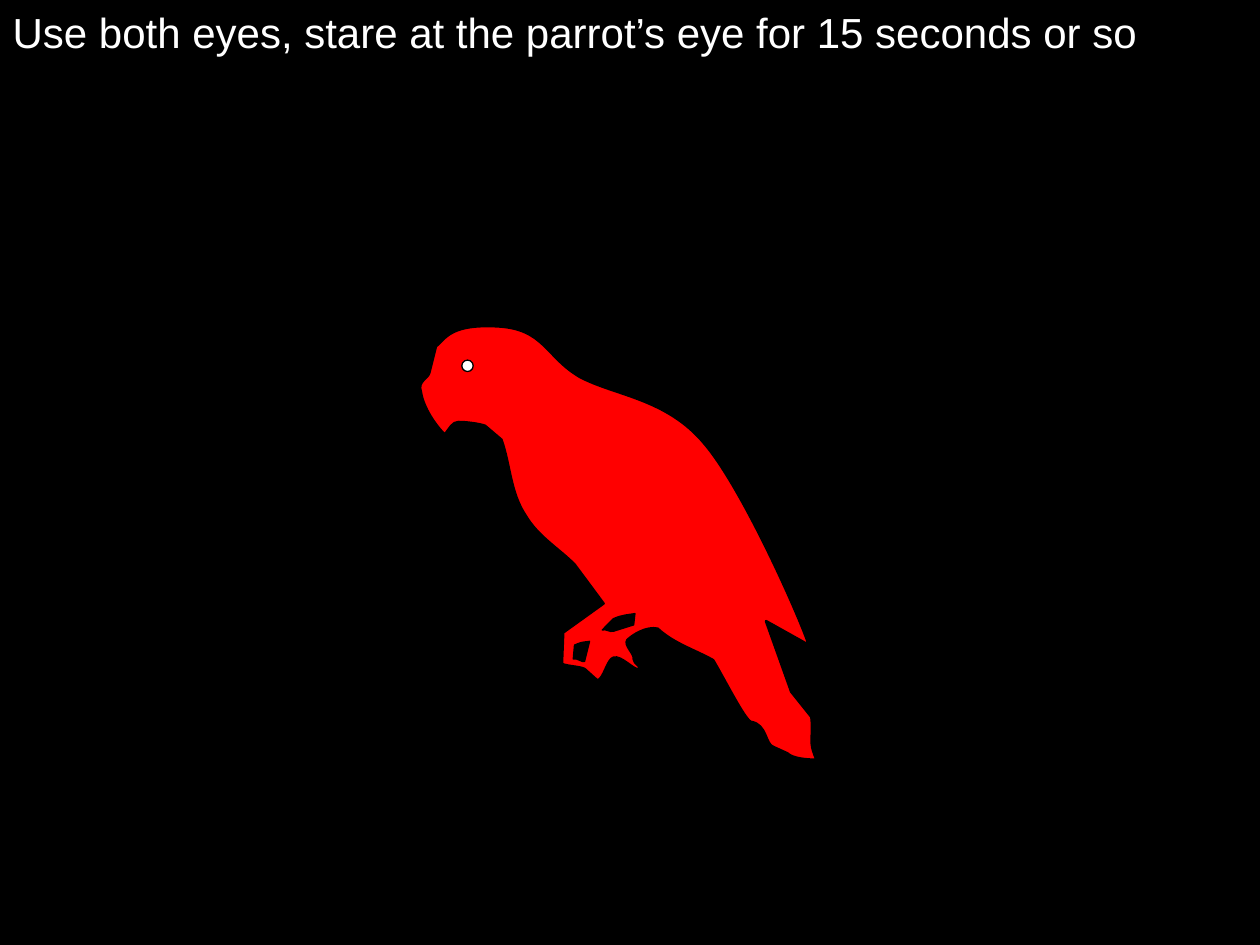
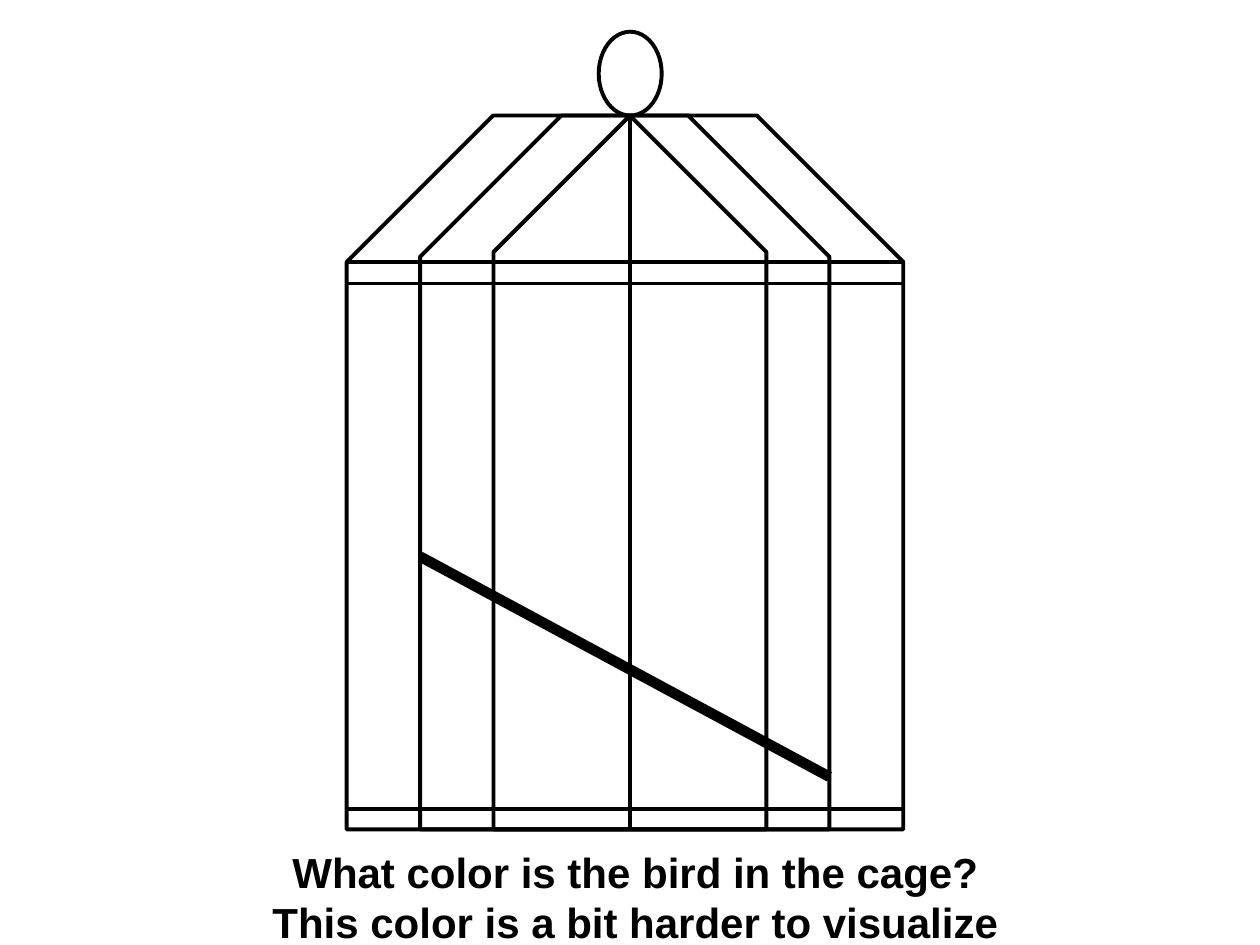
from dataclasses import dataclass

from lxml.etree import Element, SubElement
from pptx import Presentation
from pptx.dml.color import RGBColor
from pptx.enum.shapes import MSO_CONNECTOR, MSO_SHAPE
from pptx.enum.text import MSO_ANCHOR, MSO_AUTO_SIZE, PP_ALIGN
from pptx.oxml.ns import qn
from pptx.util import Cm, Pt

BLACK, WHITE, RED = "000000", "FFFFFF", "FF0000"
FONT = "Arial"
TEXT_SIZE = 24
BAR_WIDTH = 2.25
TITLE_ONLY, BLANK = 5, 6
OUTLINE_UNIT = Cm(2.54) / 100


@dataclass
class Outline:
    """A closed outline: pairs are line ends, sixes are Bézier curves."""
    start: tuple
    segments: list
    fill: str
    line_width: float


@dataclass
class CageLayer:
    """A ring of bars with cut top corners, in centimetres."""
    left: float
    width: float
    snip: float


@dataclass
class Rail:
    """A straight black line, in centimetres."""
    begin: tuple
    end: tuple
    width: float = BAR_WIDTH


PARROT = [
    Outline((385, 338), [
        (398, 349), (405, 369, 405, 391, 417, 409), (427, 426, 443, 435, 456, 448),
        (479, 479), (447, 502), (446, 527), (451, 529, 460, 529, 464, 531), (474, 540),
        (479, 540, 482, 523, 487, 522), (493, 520, 504, 533, 507, 531),
        (510, 529, 503, 527, 503, 523), (504, 519, 495, 512, 498, 508),
        (502, 504, 513, 497, 522, 499), (535, 511, 552, 516, 566, 524),
        (576, 541, 591, 571, 596, 573), (609, 575, 607, 591, 614, 593), (625, 598),
        (629, 602, 640, 603, 648, 603), (641, 586, 646, 588, 644, 569),
        (628, 549), (608, 493), (642, 512), (634, 488, 589, 387, 559, 352),
        (529, 316, 488, 314, 460, 299), (433, 283, 432, 261, 395, 259),
        (358, 257, 354, 268, 346, 275), (341, 295), (340, 301, 331, 302, 334, 311),
        (336, 324, 346, 338, 353, 345), (357, 340, 359, 335, 364, 335),
        (369, 335, 379, 336, 385, 338),
    ], RED, 1.5),
    Outline((504, 487), [
        (498, 488, 494, 488, 487, 491), (478, 500), (481, 499, 484, 502, 487, 501),
        (503, 496), (504, 487),
    ], BLACK, 0.75),
    Outline((468, 509), [
        (462, 510, 463, 509, 456, 512), (455, 523), (458, 522, 462, 526, 464, 525),
        (466, 517), (468, 509),
    ], BLACK, 0.75),
]
PARROT_RAIL = Rail((6.77, 5.74), (18, 5.74), 1.5)

CAGE_TOP, CAGE_BOTTOM, CAGE_CENTRE = 2.33, 16.72, 12.7
OUTER = CageLayer(6.99, 11.22, 0.263)
MIDDLE = CageLayer(8.47, 8.25, 0.345)
INNER = CageLayer(9.95, 5.5, 0.5)
OUTER_RIGHT = OUTER.left + OUTER.width
CAGE_RAILS = [
    Rail((CAGE_CENTRE, CAGE_TOP), (CAGE_CENTRE, CAGE_BOTTOM)),
    *(Rail((OUTER.left, height), (OUTER_RIGHT, height), width)
      for height, width in ((5.29, BAR_WIDTH), (5.72, 1.5), (16.3, BAR_WIDTH))),
    Rail((MIDDLE.left, 11.22), (MIDDLE.left + MIDDLE.width, 15.66), 6),
]


def colour(value: str) -> RGBColor:
    """Turn a hex string into a colour."""
    return RGBColor.from_string(value)


def add_page(deck, layout: int, background: str):
    """Add a page with a plain background."""
    page = deck.slides.add_slide(deck.slide_layouts[layout])
    page.background.fill.solid()
    page.background.fill.fore_color.rgb = colour(background)
    return page


def style_shape(shape, *, fill: str | None, line_width: float) -> None:
    """Give a shape a black line and an optional fill."""
    shape.shadow.inherit = False
    if fill:
        shape.fill.solid()
        shape.fill.fore_color.rgb = colour(fill)
    else:
        shape.fill.background()
    shape.line.color.rgb = colour(BLACK)
    shape.line.width = Pt(line_width)


def add_preset(page, kind, left: float, top: float, width: float, height: float,
               *, fill: str | None = None, line_width: float = BAR_WIDTH):
    """Draw a styled preset shape, measured in centimetres."""
    shape = page.shapes.add_shape(kind, Cm(left), Cm(top), Cm(width), Cm(height))
    style_shape(shape, fill=fill, line_width=line_width)
    return shape


def bend_segments(shape, outline: Outline) -> None:
    """Turn the straight segments of a freeform into the outline's curves."""
    ends = [outline.start, *(segment[-2:] for segment in outline.segments)]
    left, top = (min(values) for values in zip(*ends))
    straight = list(shape._element.iter(qn("a:lnTo")))
    for line, segment in zip(straight, outline.segments):
        if len(segment) == 2:
            continue
        curve = Element(qn("a:cubicBezTo"))
        for x, y in zip(segment[::2], segment[1::2]):
            SubElement(curve, qn("a:pt"), x=str(x - left), y=str(y - top))
        line.getparent().replace(line, curve)


def add_outline(page, outline: Outline) -> None:
    """Draw a closed outline."""
    builder = page.shapes.build_freeform(*outline.start, scale=OUTLINE_UNIT)
    builder.add_line_segments([segment[-2:] for segment in outline.segments], close=True)
    shape = builder.convert_to_shape()
    bend_segments(shape, outline)
    style_shape(shape, fill=outline.fill, line_width=outline.line_width)


def add_rail(page, rail: Rail) -> None:
    """Draw a straight black line without a shadow."""
    ends = [Cm(value) for value in (*rail.begin, *rail.end)]
    connector = page.shapes.add_connector(MSO_CONNECTOR.STRAIGHT, *ends)
    connector.line.color.rgb = colour(BLACK)
    connector.line.width = Pt(rail.width)
    SubElement(connector._element.spPr, qn("a:effectLst"))


def write_text(box, lines: list[str], *, ink: str, bold: bool = False,
               align=PP_ALIGN.LEFT, wrap: bool = True) -> None:
    """Fill a box with one paragraph per line."""
    frame = box.text_frame
    frame.word_wrap = wrap
    frame.auto_size = MSO_AUTO_SIZE.SHAPE_TO_FIT_TEXT
    frame.vertical_anchor = MSO_ANCHOR.TOP
    frame.text = "\n".join(lines)
    for para in frame.paragraphs:
        para.alignment = align
        for span in para.runs:
            span.font.name = FONT
            span.font.size = Pt(TEXT_SIZE)
            span.font.bold = bold
            span.font.color.rgb = colour(ink)


def add_parrot_page(deck) -> None:
    """Build the page with the red parrot to stare at."""
    page = add_page(deck, TITLE_ONLY, BLACK)
    add_rail(page, PARROT_RAIL)
    for outline in PARROT:
        add_outline(page, outline)
    add_preset(page, MSO_SHAPE.FLOWCHART_CONNECTOR, 9.31, 7.26, 0.23, 0.23,
               fill=WHITE, line_width=0.75)
    title = page.shapes.title
    title.left, title.top, title.width, title.height = Cm(0), Cm(0), Cm(23.19), Cm(1.27)
    write_text(title, ["Use both eyes, stare at the parrot’s eye for 15 seconds or so"],
               ink=WHITE, wrap=False)


def add_cage_page(deck) -> None:
    """Build the page with the empty cage and its question."""
    page = add_page(deck, BLANK, WHITE)
    add_preset(page, MSO_SHAPE.OVAL, 12.07, 0.64, 1.27, 1.69, fill=WHITE)
    for layer in (OUTER, MIDDLE, INNER):
        bars = add_preset(page, MSO_SHAPE.SNIP_2_SAME_RECTANGLE, layer.left, CAGE_TOP,
                          layer.width, CAGE_BOTTOM - CAGE_TOP)
        bars.adjustments[0] = layer.snip
        bars.adjustments[1] = 0
    for rail in CAGE_RAILS:
        add_rail(page, rail)
    box = page.shapes.add_textbox(Cm(1.91), Cm(16.93), Cm(21.8), Cm(2.29))
    write_text(box, ["What color is the bird in the cage?",
                     "This color is a bit harder to visualize"],
               ink=BLACK, bold=True, align=PP_ALIGN.CENTER)


def main() -> None:
    """Build and save the deck."""
    deck = Presentation()
    deck.slide_width, deck.slide_height = Cm(25.4), Cm(19.05)
    add_parrot_page(deck)
    add_cage_page(deck)
    deck.save("out.pptx")


if __name__ == "__main__":
    main()
